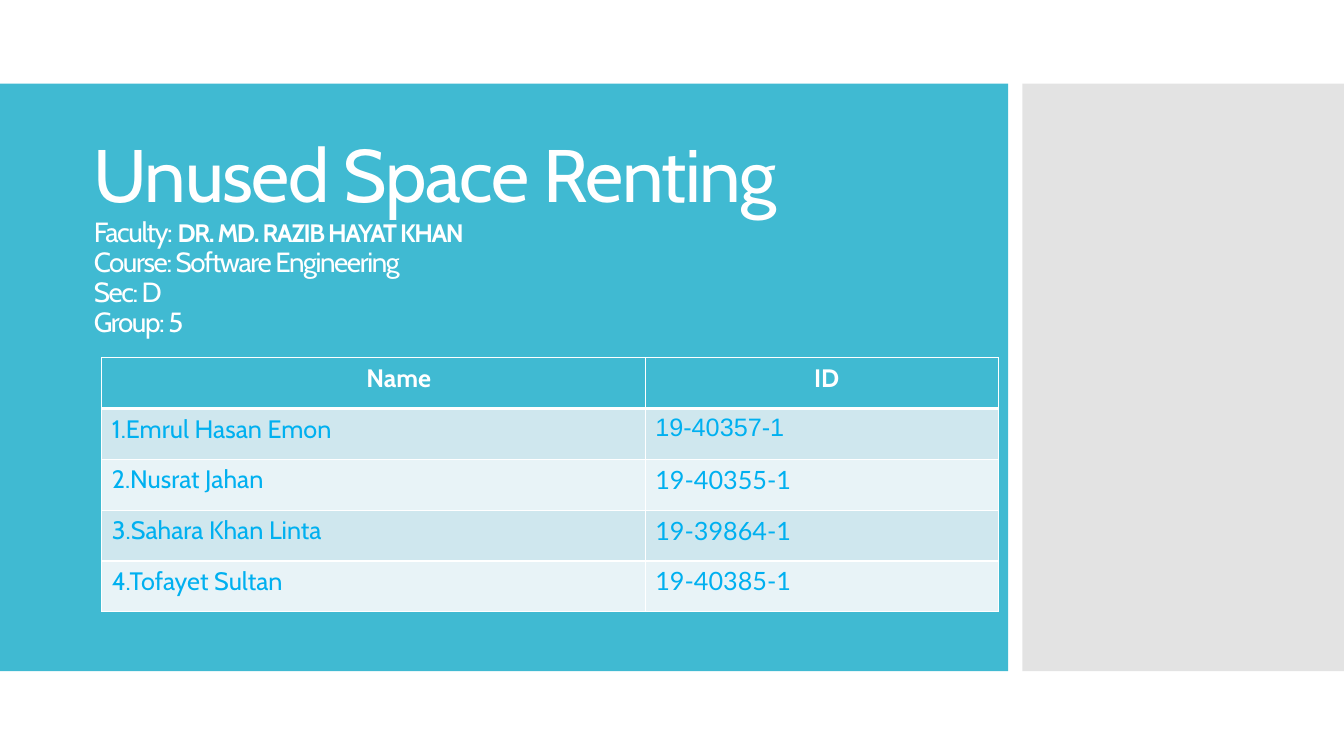
from dataclasses import dataclass

from lxml import etree
from pptx import Presentation
from pptx.dml.color import RGBColor
from pptx.enum.shapes import MSO_SHAPE
from pptx.enum.text import MSO_ANCHOR, MSO_AUTO_SIZE, PP_ALIGN
from pptx.oxml.ns import qn
from pptx.util import Inches, Pt

RECTANGLE = MSO_SHAPE.RECTANGLE
BOTTOM = MSO_ANCHOR.BOTTOM
NO_FIT = MSO_AUTO_SIZE.NONE
LEFT, CENTER = PP_ALIGN.LEFT, PP_ALIGN.CENTER
TITLE_ONLY = 5


@dataclass(frozen=True)
class Theme:
    teal: str = "40BAD2"
    gray: str = "C8C8C8"
    white: str = "FFFFFF"
    sky: str = "00B0F0"
    bands: tuple[str, str] = ("CFE7EE", "E8F3F7")
    main_font: str = "Cabin"
    first_id_font: str = "Arial"
    id_font: str = "Lato"
    title_size: float = 53.1
    detail_size: float = 19.8
    body_size: float = 18
    tracking: int = -100
    thin: float = 1
    thick: float = 3


@dataclass(frozen=True)
class Panel:
    left: float
    width: float
    color: str
    opacity: int = 100


@dataclass(frozen=True)
class Span:
    text: str
    size: float
    bold: bool = False


@dataclass(frozen=True)
class Column:
    heading: str
    width: float
    heading_inset: float


@dataclass(frozen=True)
class Member:
    name: str
    number: str
    number_font: str


THEME = Theme()
PANELS = [
    Panel(0, 10, THEME.teal),
    Panel(10.14, 3.19, THEME.gray, 50),
]
TITLE_LINES = [
    [Span("Unused Space Renting", THEME.title_size)],
    [
        Span("Faculty: ", THEME.detail_size),
        Span("DR. MD. RAZIB HAYAT KHAN", THEME.body_size, True),
    ],
    [Span("Course: Software Engineering", THEME.detail_size)],
    [Span("Sec: D", THEME.detail_size)],
    [Span("Group: 5", THEME.detail_size)],
]
COLUMNS = [Column("Name", 5.39, 0.6), Column("ID", 3.5, 0.2)]
MEMBERS = [
    Member("1.Emrul Hasan Emon", "19-40357-1", THEME.first_id_font),
    Member("2.Nusrat Jahan", "19-40355-1", THEME.id_font),
    Member("3.Sahara Khan Linta", "19-39864-1", THEME.id_font),
    Member("4.Tofayet Sultan", "19-40385-1", THEME.id_font),
]


def add_span(para, span: Span, color: str, font: str):
    run = para.add_run()
    run.text = span.text
    run.font.name = font
    run.font.size = Pt(span.size)
    run.font.bold = span.bold
    run.font.color.rgb = RGBColor.from_string(color)
    return run


def add_panel(page, panel: Panel) -> None:
    box = page.shapes.add_shape(
        RECTANGLE, Inches(panel.left), Inches(0.83), Inches(panel.width), Inches(5.83)
    )
    box.shadow.inherit = False
    box.line.fill.background()
    box.fill.solid()
    box.fill.fore_color.rgb = RGBColor.from_string(panel.color)
    if panel.opacity < 100:
        color = box.fill._xPr.find(".//" + qn("a:srgbClr"))
        etree.SubElement(color, qn("a:alpha"), val=str(panel.opacity * 1000))


def fill_title(page) -> None:
    title = page.shapes.title
    page.shapes._spTree.append(title._element)
    title.left, title.top = Inches(0.83), Inches(1.88)
    title.width, title.height = Inches(11.81), Inches(1.53)
    frame = title.text_frame
    frame.word_wrap = True
    frame.auto_size = NO_FIT
    frame.vertical_anchor = BOTTOM
    for index, line in enumerate(TITLE_LINES):
        para = frame.add_paragraph() if index else frame.paragraphs[0]
        para.alignment = LEFT
        para.line_spacing = 0.9
        for span in line:
            run = add_span(para, span, THEME.white, THEME.main_font)
            run.font._element.set("spc", str(THEME.tracking))


def set_borders(cell, top: float, bottom: float) -> None:
    properties = cell._tc.get_or_add_tcPr()
    widths = {"lnL": THEME.thin, "lnR": THEME.thin, "lnT": top, "lnB": bottom}
    for position, (side, width) in enumerate(widths.items()):
        line = etree.Element(qn(f"a:{side}"), w=str(Pt(width)))
        fill = etree.SubElement(line, qn("a:solidFill"))
        etree.SubElement(fill, qn("a:srgbClr"), val=THEME.white)
        properties.insert(position, line)


def write_cell(cell, span: Span, fill: str, color: str, font: str) -> None:
    cell.fill.solid()
    cell.fill.fore_color.rgb = RGBColor.from_string(fill)
    add_span(cell.text_frame.paragraphs[0], span, color, font)


def add_member_table(page) -> None:
    table = page.shapes.add_table(
        len(MEMBERS) + 1, len(COLUMNS),
        Inches(1.01), Inches(3.55), Inches(8.89), Inches(2.52),
    ).table
    for index, column in enumerate(COLUMNS):
        table.columns[index].width = Inches(column.width)
        cell = table.cell(0, index)
        heading = Span(column.heading, THEME.body_size, True)
        write_cell(cell, heading, THEME.teal, THEME.white, THEME.main_font)
        cell.margin_left = Inches(column.heading_inset)
        cell.text_frame.paragraphs[0].alignment = CENTER
        set_borders(cell, THEME.thin, THEME.thick)
    for row, member in enumerate(MEMBERS, start=1):
        band = THEME.bands[(row - 1) % len(THEME.bands)]
        top = THEME.thick if row == 1 else THEME.thin
        entries = [(member.name, THEME.main_font), (member.number, member.number_font)]
        for index, (text, font) in enumerate(entries):
            cell = table.cell(row, index)
            write_cell(cell, Span(text, THEME.body_size), band, THEME.sky, font)
            set_borders(cell, top, THEME.thin)


deck = Presentation()
deck.slide_width, deck.slide_height = Inches(13.33), Inches(7.5)
page = deck.slides.add_slide(deck.slide_layouts[TITLE_ONLY])
for panel in PANELS:
    add_panel(page, panel)
fill_title(page)
add_member_table(page)
deck.save("out.pptx")
